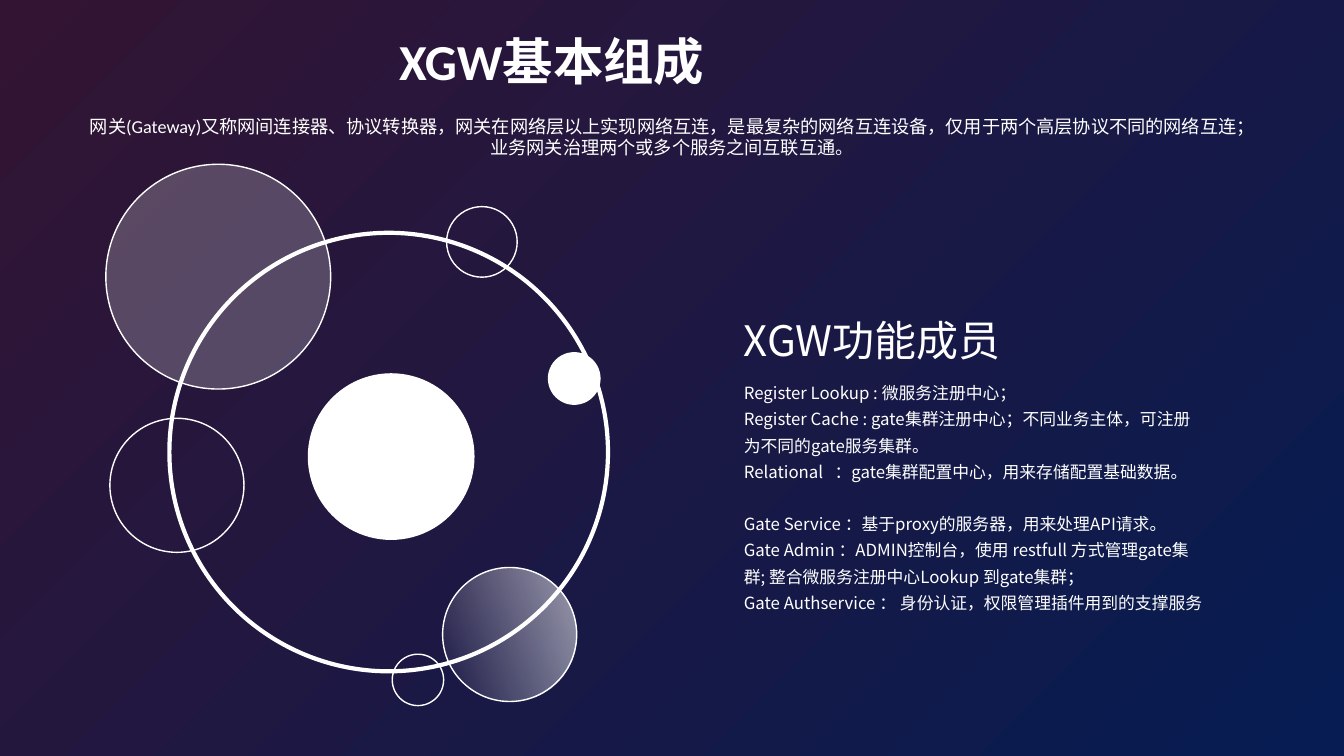
from lxml import etree
from pptx import Presentation
from pptx.dml.color import RGBColor
from pptx.enum import shapes, text
from pptx.oxml.ns import qn
from pptx.util import Inches, Pt

WHITE = RGBColor(0xFF, 0xFF, 0xFF)
PLUM = RGBColor(0x33, 0x14, 0x33)
NAVY = RGBColor(0x06, 0x1C, 0x52)
CJK = "Noto Sans CJK SC"

prs = Presentation()
prs.slide_width, prs.slide_height = Inches(13.33), Inches(7.5)
s = prs.slides.add_slide(prs.slide_layouts[6])

bg = s.background.fill
bg.gradient()
bg.gradient_angle = 315
for stop, color in zip(bg.gradient_stops, (PLUM, NAVY)):
    stop.color.rgb = color


def add_circle(x, y, d, line, alphas=(), angle=0):
    sp = s.shapes.add_shape(shapes.MSO_SHAPE.OVAL, Inches(x), Inches(y), Inches(d), Inches(d))
    sp.shadow.inherit = False
    if len(alphas) == 2:
        sp.fill.gradient()
        sp.fill.gradient_angle = angle
        for stop in sp.fill.gradient_stops:
            stop.color.rgb = WHITE
    elif alphas:
        sp.fill.solid()
        sp.fill.fore_color.rgb = WHITE
    else:
        sp.fill.background()
    for color, alpha in zip(sp._element.spPr.iter(qn("a:srgbClr")), alphas):
        etree.SubElement(color, qn("a:alpha")).set("val", str(alpha * 1000))
    sp.line.color.rgb = WHITE
    sp.line.width = Pt(line)


def add_text(x, y, w, h, lines, size, font=CJK, bold=False, align=None, spacing=None, gaps={}):
    tf = s.shapes.add_textbox(Inches(x), Inches(y), Inches(w), Inches(h)).text_frame
    tf.word_wrap = True
    for i, line in enumerate(lines):
        p = tf.paragraphs[0] if i == 0 else tf.add_paragraph()
        p.alignment = align
        p.line_spacing = spacing
        if i in gaps:
            p.space_before = Pt(gaps[i])
        r = p.add_run()
        r.text = line
        r.font.size, r.font.bold, r.font.name = Pt(size), bold, font
        r.font.color.rgb = WHITE
        etree.SubElement(r._r.rPr, qn("a:ea")).set("typeface", font)


for x, y, d, line, alphas in (
    (1.68, 2.31, 4.35, 3, ()),
    (1.05, 1.63, 2.23, 1, (22,)),
    (4.43, 2.05, 0.7, 1, ()),
    (1.09, 4.15, 1.33, 1, ()),
    (4.39, 5.63, 1.33, 1, (57, 0)),
    (3.89, 6.49, 0.51, 1, ()),
    (5.44, 3.5, 0.51, 1, (100,)),
    (3.06, 3.71, 1.64, 1, (100,)),
):
    add_circle(x, y, d, line, alphas, angle=200)

add_text(3.86, 0.25, 5.62, 0.71, ["XGW基本组成"], 36, "Calibri", bold=True,
         align=text.PP_ALIGN.JUSTIFY)
add_text(0.68, 1.09, 11.97, 0.54, [
    "网关(Gateway)又称网间连接器、协议转换器，网关在网络层以上实现网络互连，是最复杂的网络互连设备，仅用于两个高层协议不同的网络互连；",
    "业务网关治理两个或多个服务之间互联互通。",
], 13, "Calibri", align=text.PP_ALIGN.CENTER)
add_text(7.28, 3.07, 3.65, 0.6, ["XGW功能成员"], 30)
add_text(7.28, 3.69, 4.76, 2.46, [
    "Register Lookup : 微服务注册中心；",
    "Register Cache : gate集群注册中心；不同业务主体，可注册为不同的gate服务集群。",
    "Relational   ：gate集群配置中心，用来存储配置基础数据。",
    "Gate Service ：基于proxy的服务器，用来处理API请求。",
    "Gate Admin ：ADMIN控制台，使用 restfull 方式管理gate集群; 整合微服务注册中心Lookup 到gate集群；",
    "Gate Authservice ： 身份认证，权限管理插件用到的支撑服务",
], 12, spacing=1.3, gaps={3: 18.7})

prs.save("out.pptx")
